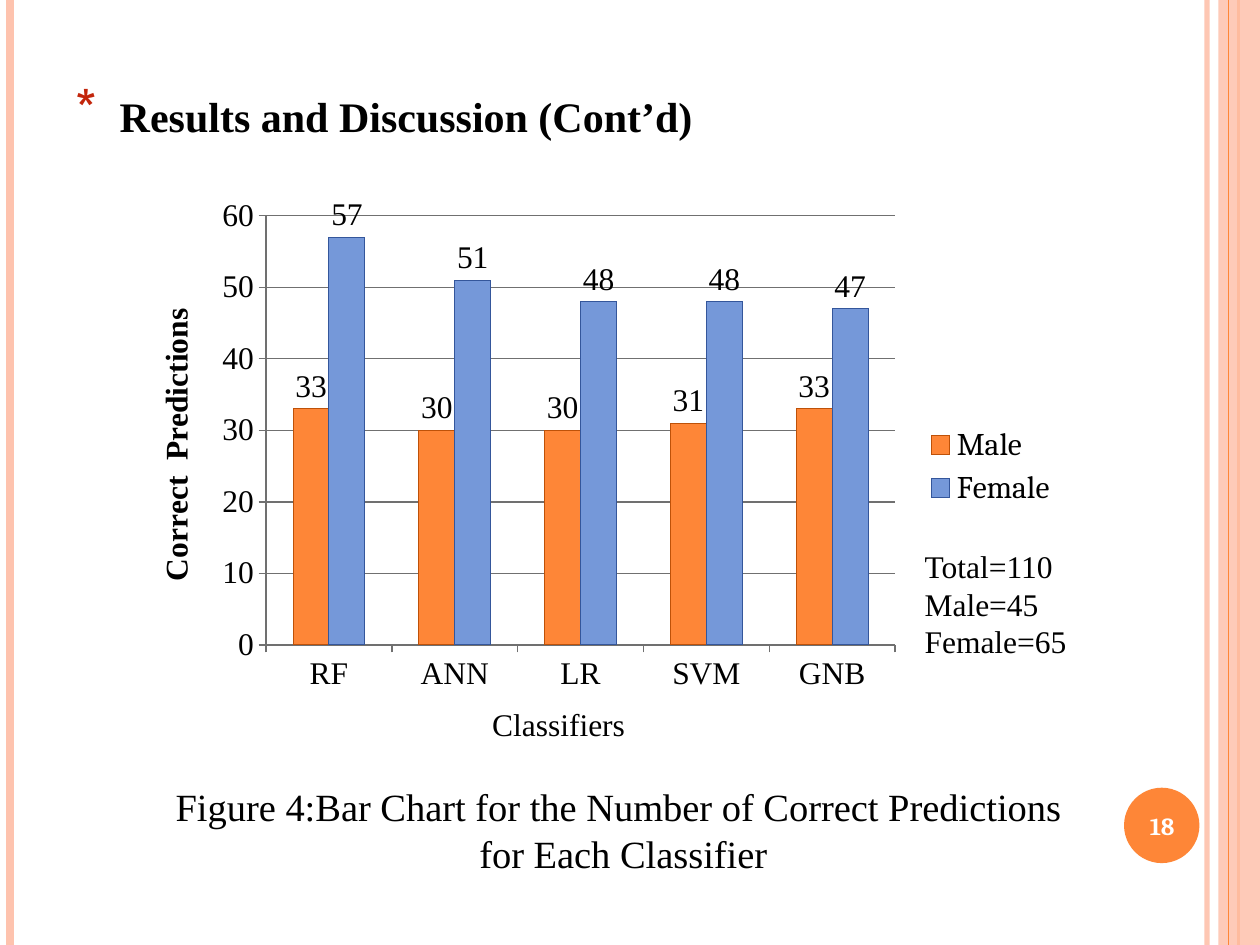
from lxml import etree
from pptx import Presentation
from pptx.chart.data import CategoryChartData
from pptx.dml.color import RGBColor
from pptx.enum import chart as ch, shapes, text
from pptx.oxml import parse_xml
from pptx.oxml.ns import nsdecls, qn
from pptx.util import Cm, Pt

ORANGE = RGBColor(0xFE, 0x86, 0x37)
DARK_ORANGE = RGBColor(0xBE, 0x51, 0x08)
PEACH = RGBColor(0xFE, 0xC3, 0xAE)
BLUE = RGBColor(0x75, 0x98, 0xD9)
DARK_BLUE = RGBColor(0x34, 0x56, 0x9B)
GREY = RGBColor(0x70, 0x70, 0x70)
BLACK = RGBColor(0, 0, 0)
WHITE = RGBColor(0xFF, 0xFF, 0xFF)
SERIF = "Times New Roman"
HEIGHT = 19.05


def box(left, top, width, height):
    return Cm(left), Cm(top), Cm(width), Cm(height)


def set_alpha(sp, percent):
    color = next(sp._element.spPr.iter(qn("a:srgbClr")))
    etree.SubElement(color, qn("a:alpha")).set("val", str(percent * 1000))


def style_font(font, size, color=BLACK, bold=False, name=SERIF):
    font.name, font.size, font.bold = name, Pt(size), bold
    font.color.rgb = color


def add_rule(s, x, color, width, alpha=None):
    line = s.shapes.add_connector(
        shapes.MSO_CONNECTOR.STRAIGHT, Cm(x), 0, Cm(x), Cm(HEIGHT))
    line.line.color.rgb = color
    line.line.width = Pt(width)
    if alpha:
        set_alpha(line, alpha)
    etree.SubElement(line._element.spPr, qn("a:effectLst"))


def add_solid(s, preset, place, color):
    sp = s.shapes.add_shape(preset, *box(*place))
    sp.shadow.inherit = False
    sp.fill.solid()
    sp.fill.fore_color.rgb = color
    sp.line.fill.background()
    return sp


def write_lines(tf, lines, size, align=text.PP_ALIGN.LEFT, **style):
    for i, line in enumerate(lines):
        p = tf.add_paragraph() if i else tf.paragraphs[0]
        p.alignment = align
        r = p.add_run()
        r.text = line
        style_font(r.font, size, **style)


def add_text(s, place, lines, size, wrap=True, anchor=text.MSO_ANCHOR.TOP, **style):
    tf = s.shapes.add_textbox(*box(*place)).text_frame
    tf.word_wrap = wrap
    tf.vertical_anchor = anchor
    write_lines(tf, lines, size, **style)


def set_title(s, title):
    sp = s.shapes.title
    sp.left, sp.top, sp.width, sp.height = box(1.27, 1.7, 13.08, 1.27)
    tf = sp.text_frame
    tf.word_wrap = False
    tf.auto_size = text.MSO_AUTO_SIZE.NONE
    tf.vertical_anchor = text.MSO_ANCHOR.TOP
    write_lines(tf, [title], 24, bold=True)
    # Star bullet with a hanging indent
    pPr = tf.paragraphs[0]._p.get_or_add_pPr()
    pPr.set("marL", str(Cm(0.89)))
    pPr.set("indent", str(-Cm(0.89)))
    for bullet in ('<a:buClr %s><a:srgbClr val="C3260C"/></a:buClr>',
                   '<a:buSzPct %s val="128000"/>',
                   '<a:buChar %s char="*"/>'):
        pPr.append(parse_xml(bullet % nsdecls("a")))


def style_axis(axis, title, bold):
    axis.major_tick_mark = ch.XL_TICK_MARK.OUTSIDE
    axis.minor_tick_mark = ch.XL_TICK_MARK.NONE
    style_font(axis.tick_labels.font, 18)
    axis.format.line.color.rgb = GREY
    write_lines(axis.axis_title.text_frame, [title], 18,
                align=text.PP_ALIGN.CENTER, bold=bold)


def set_plot_layout(chart, x, y, w, h):
    area = chart._chartSpace.chart.plotArea
    for old in area.findall(qn("c:layout")):
        area.remove(old)
    sizes = "".join(f'<c:{tag} val="{value}"/>'
                    for tag, value in zip("xywh", (x, y, w, h)))
    area.insert(0, parse_xml(
        f'<c:layout {nsdecls("c")}><c:manualLayout><c:layoutTarget val="inner"/>'
        f'<c:xMode val="edge"/><c:yMode val="edge"/>{sizes}'
        '</c:manualLayout></c:layout>'))


def set_chart_border(chart):
    chart._chartSpace.chart.addnext(parse_xml(
        f'<c:spPr {nsdecls("c", "a")}><a:noFill/><a:ln w="{Pt(0.75)}"><a:solidFill>'
        f'<a:srgbClr val="{WHITE}"/></a:solidFill></a:ln></c:spPr>'))


def add_prediction_chart(s):
    data = CategoryChartData()
    data.categories = ["RF", "ANN", "LR", "SVM", "GNB"]
    data.add_series("Male", (33, 30, 30, 31, 33))
    data.add_series("Female", (57, 51, 48, 48, 47))
    chart = s.shapes.add_chart(ch.XL_CHART_TYPE.COLUMN_CLUSTERED,
                               *box(2.67, 3.61, 18.92, 11.58), data).chart
    style_font(chart.font, 18, name="Cambria")
    chart.has_title = False
    chart.has_legend = True
    chart.legend.position = ch.XL_LEGEND_POSITION.RIGHT
    chart.legend.include_in_layout = False
    style_font(chart.legend.font, 18, name="Cambria")

    # Axes
    style_axis(chart.category_axis, "Classifiers", bold=False)
    axis = chart.value_axis
    style_axis(axis, "Correct  Predictions", bold=True)
    axis.minimum_scale, axis.maximum_scale, axis.major_unit = 0, 60, 10
    axis.has_major_gridlines = True
    axis.major_gridlines.format.line.color.rgb = GREY

    # Columns and their values
    plot = chart.plots[0]
    plot.gap_width, plot.overlap = 150, 0
    plot.vary_by_categories = False
    colors = ((ORANGE, DARK_ORANGE), (BLUE, DARK_BLUE))
    for series, (fill, edge) in zip(plot.series, colors):
        series.format.fill.solid()
        series.format.fill.fore_color.rgb = fill
        series.format.line.color.rgb = edge
        labels = series.data_labels
        labels.show_value = True
        labels.position = ch.XL_LABEL_POSITION.OUTSIDE_END
        style_font(labels.font, 18)
    set_plot_layout(chart, 0.142, 0.063, 0.671, 0.749)
    set_chart_border(chart)


def main():
    prs = Presentation()
    prs.slide_width, prs.slide_height = Cm(25.4), Cm(HEIGHT)
    s = prs.slides.add_slide(prs.slide_layouts[5])
    center, middle = text.PP_ALIGN.CENTER, text.MSO_ANCHOR.MIDDLE

    # Side stripes
    add_rule(s, 24.33, PEACH, 3, alpha=93)
    add_rule(s, 0.2, PEACH, 4.5)
    add_rule(s, 24.97, ORANGE, 1.5)
    band = add_solid(s, shapes.MSO_SHAPE.RECTANGLE, (24.56, 0, 0.84, HEIGHT), PEACH)
    set_alpha(band, 87)
    add_rule(s, 24.77, ORANGE, 0.75)

    # Page number
    add_solid(s, shapes.MSO_SHAPE.OVAL, (22.66, 15.88, 1.52, 1.52), ORANGE)
    add_text(s, (22.58, 15.93, 1.7, 1.45), ["18"], 14, anchor=middle,
             align=center, color=WHITE, bold=True, name="Cambria")

    # Title, chart, totals and caption
    set_title(s, "Results and Discussion (Cont’d)")
    add_prediction_chart(s)
    add_text(s, (18.39, 10.9, 4.01, 2.57),
             ["Total=110", "Male=45", "Female=65"], 18)
    add_text(s, (3.2, 15.67, 18.54, 2.13),
             ["Figure 4:Bar Chart for the Number of Correct Predictions",
              " for Each Classifier"], 22, wrap=False, align=center)
    prs.save("out.pptx")


if __name__ == "__main__":
    main()
